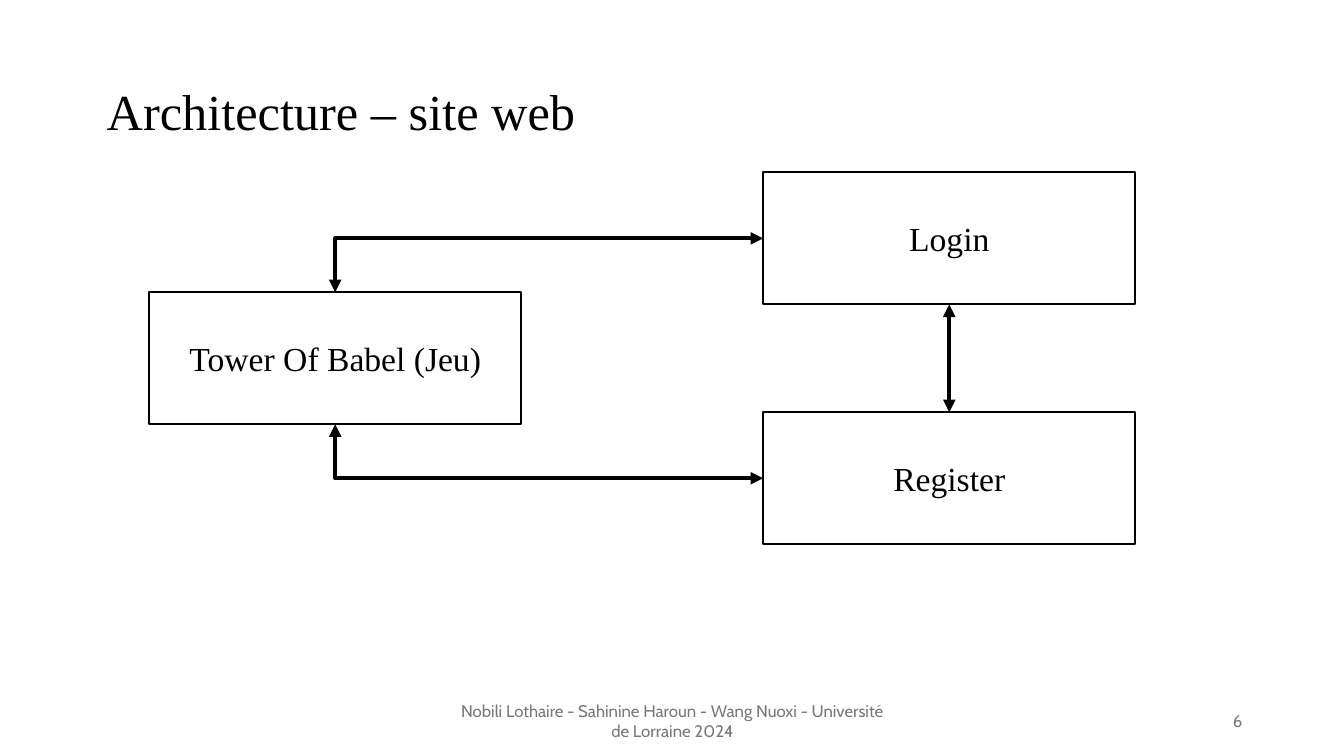
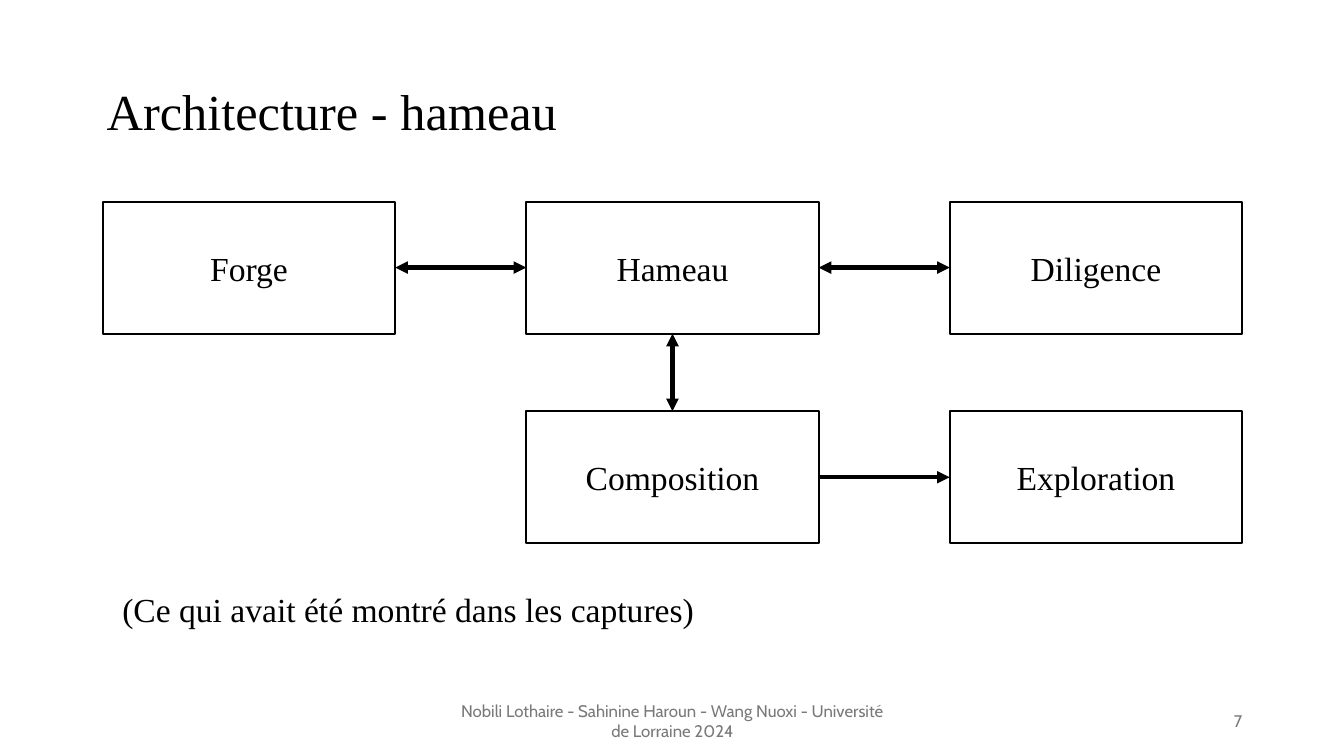
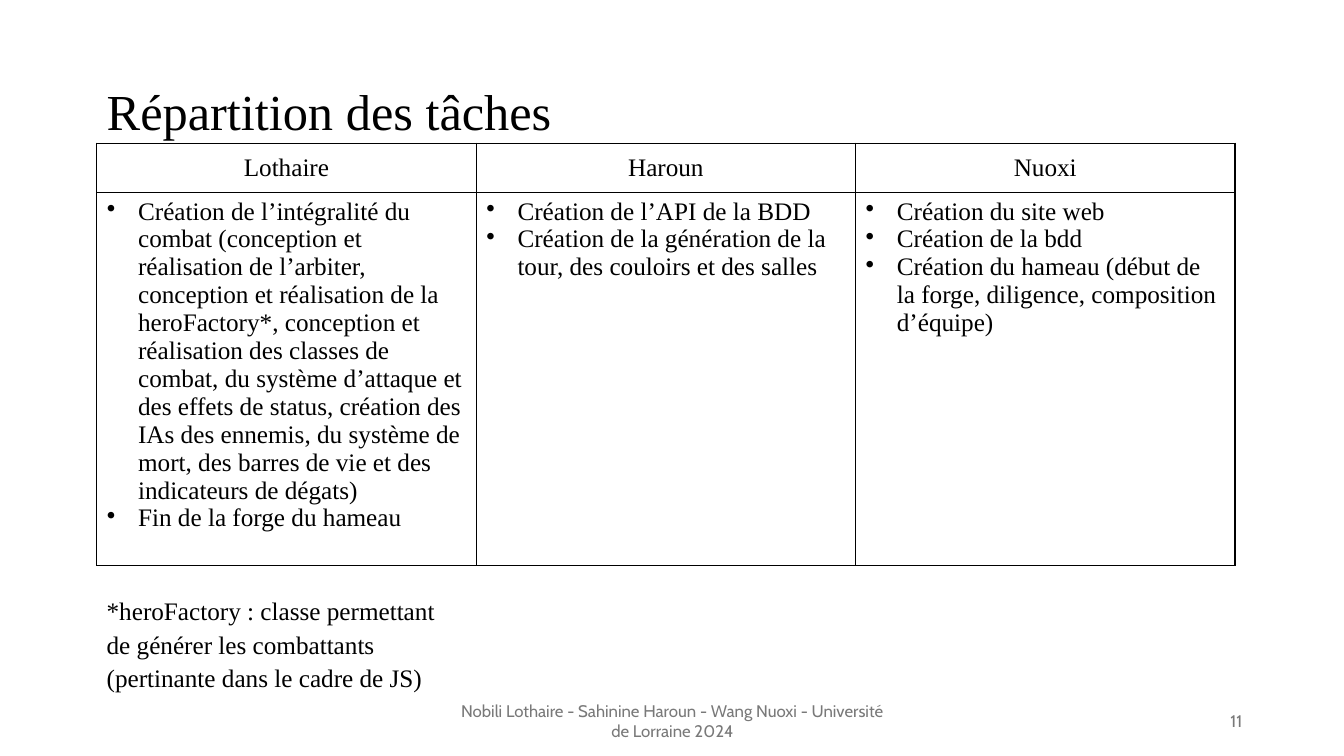
from lxml.etree import SubElement
from pptx import Presentation
from pptx.dml.color import RGBColor
from pptx.enum.shapes import MSO_CONNECTOR as CONN, MSO_SHAPE
from pptx.enum.text import MSO_ANCHOR as ANCHOR, PP_ALIGN as ALIGN
from pptx.oxml import parse_xml
from pptx.oxml.ns import nsdecls, qn
from pptx.util import Inches, Pt

BLACK = RGBColor(0x00, 0x00, 0x00)
WHITE = RGBColor(0xFF, 0xFF, 0xFF)
GREY = RGBColor(0x79, 0x79, 0x79)
SERIF, SANS = "Times New Roman", "Cabin"
TOP, LEFT, BOTTOM, RIGHT = range(4)
MARGIN = 0.96
BOX_H = 1.31
FOOTER = "Nobili Lothaire - Sahinine Haroun - Wang Nuoxi - Université de Lorraine 2024"


def style(p, size, align=ALIGN.LEFT, font=SERIF, color=BLACK):
    p.alignment = align
    for r in p.runs:
        r.font.size = Pt(size)
        r.font.name = font
        r.font.color.rgb = color


def add_text(s, text, x, y, w, h, size, align=ALIGN.LEFT, anchor=ANCHOR.TOP,
             font=SERIF, color=BLACK, spacing=1.0):
    tf = s.shapes.add_textbox(Inches(x), Inches(y), Inches(w), Inches(h)).text_frame
    tf.word_wrap = True
    tf.vertical_anchor = anchor
    tf.text = text
    p = tf.paragraphs[0]
    p.line_spacing = spacing
    style(p, size, align, font, color)


prs = Presentation()
prs.slide_width, prs.slide_height = Inches(13.33), Inches(7.5)

# Title, footer and page number on every slide
slides = []
for number, title in [(6, "Architecture – site web"),
                      (7, "Architecture - hameau"),
                      (11, "Répartition des tâches")]:
    s = prs.slides.add_slide(prs.slide_layouts[6])
    add_text(s, FOOTER, 4.42, 6.95, 4.5, 0.4, 12, ALIGN.CENTER, ANCHOR.MIDDLE, SANS, GREY)
    add_text(s, str(number), 9.42, 6.95, 3, 0.4, 12, ALIGN.RIGHT, ANCHOR.MIDDLE, SANS, GREY)
    add_text(s, title, MARGIN, 0.69, 11.41, BOX_H, 36, spacing=1.1)
    slides.append(s)
site, hamlet, tasks = slides

# Diagrams: boxes as (name, x, y), links as (from, side, to, side, two-way)
col_x = [1.02 + 4.2 * i for i in range(3)]
row_y = [2, 4.08]
diagrams = [
    (site, 3.69,
     [("Tower Of Babel (Jeu)", 1.48, 2.9), ("Login", 7.57, 1.71), ("Register", 7.57, 4.09)],
     [("Login", BOTTOM, "Register", TOP, True),
      ("Login", LEFT, "Tower Of Babel (Jeu)", TOP, True),
      ("Register", LEFT, "Tower Of Babel (Jeu)", BOTTOM, True)]),
    (hamlet, 2.9,
     [("Forge", col_x[0], row_y[0]), ("Hameau", col_x[1], row_y[0]),
      ("Diligence", col_x[2], row_y[0]), ("Composition", col_x[1], row_y[1]),
      ("Exploration", col_x[2], row_y[1])],
     [("Forge", RIGHT, "Hameau", LEFT, True),
      ("Hameau", RIGHT, "Diligence", LEFT, True),
      ("Hameau", BOTTOM, "Composition", TOP, True),
      ("Composition", RIGHT, "Exploration", LEFT, False)]),
]
for s, box_w, boxes, links in diagrams:
    box_by_name = {}
    for name, x, y in boxes:
        sp = s.shapes.add_shape(MSO_SHAPE.RECTANGLE, Inches(x), Inches(y),
                                Inches(box_w), Inches(BOX_H))
        sp.shadow.inherit = False
        sp.fill.solid()
        sp.fill.fore_color.rgb = WHITE
        sp.line.color.rgb = BLACK
        sp.line.width = Pt(1.5)
        tf = sp.text_frame
        tf.word_wrap = True
        tf.vertical_anchor = ANCHOR.MIDDLE
        tf.text = name
        style(tf.paragraphs[0], 24, ALIGN.CENTER)
        box_by_name[name] = sp

    for start, start_side, end, end_side, two_way in links:
        turns = start_side % 2 != end_side % 2
        cxn = s.shapes.add_connector(CONN.ELBOW if turns else CONN.STRAIGHT, 0, 0, 0, 0)
        cxn.begin_connect(box_by_name[start], start_side)
        cxn.end_connect(box_by_name[end], end_side)
        cxn.line.color.rgb = BLACK
        cxn.line.width = Pt(3)
        spPr = cxn.element.spPr
        if turns:  # a single corner
            spPr.find(qn("a:prstGeom")).set("prst", "bentConnector2")
        ln = spPr.find(qn("a:ln"))
        for tag in ["a:headEnd", "a:tailEnd"] if two_way else ["a:tailEnd"]:
            SubElement(ln, qn(tag), type="triangle")
        SubElement(spPr, qn("a:effectLst"))

add_text(hamlet, "(Ce qui avait été montré dans les captures)", 0.7, 5.79, 6.7, 0.5, 24,
         ALIGN.CENTER)

# Task table
members = [
    ("Lothaire", [
        "Création de l’intégralité du combat (conception et réalisation de l’arbiter, "
        "conception et réalisation de la heroFactory*, conception et réalisation des "
        "classes de combat, du système d’attaque et des effets de status, création des "
        "IAs des ennemis, du système de mort, des barres de vie et des indicateurs de "
        "dégats)",
        "Fin de la forge du hameau"]),
    ("Haroun", [
        "Création de l’API de la BDD",
        "Création de la génération de la tour, des couloirs et des salles"]),
    ("Nuoxi", [
        "Création du site web",
        "Création de la bdd",
        "Création du hameau (début de la forge, diligence, composition d’équipe)"]),
]
table = tasks.shapes.add_table(2, len(members), Inches(MARGIN), Inches(1.42),
                               Inches(11.29), Inches(4.19)).table
table.first_row = table.horz_banding = False
table.rows[0].height, table.rows[1].height = Inches(0.49), Inches(3.7)
for col, (member, duties) in enumerate(members):
    head, body = table.cell(0, col), table.cell(1, col)
    head.text = member
    head.vertical_anchor = ANCHOR.MIDDLE
    style(head.text_frame.paragraphs[0], 18, ALIGN.CENTER)
    body.text = "\n".join(duties)
    for p in body.text_frame.paragraphs:
        pPr = p._p.get_or_add_pPr()
        pPr.set("marL", str(Inches(0.31)))
        pPr.set("indent", str(-Inches(0.31)))
        SubElement(pPr, qn("a:buChar"), char="•")
        style(p, 18)
    for cell in (head, body):
        cell.fill.background()
        tcPr = cell._tc.get_or_add_tcPr()
        for i, side in enumerate(["lnL", "lnR", "lnT", "lnB"]):
            tcPr.insert(i, parse_xml(
                f'<a:{side} {nsdecls("a")} w="{Pt(1)}"><a:solidFill>'
                f'<a:srgbClr val="{BLACK}"/></a:solidFill></a:{side}>'))

add_text(tasks, "*heroFactory : classe permettant de générer les combattants "
         "(pertinante dans le cadre de JS)", MARGIN, 5.83, 3.74, 1.01, 18, spacing=1.1)

prs.save("out.pptx")
